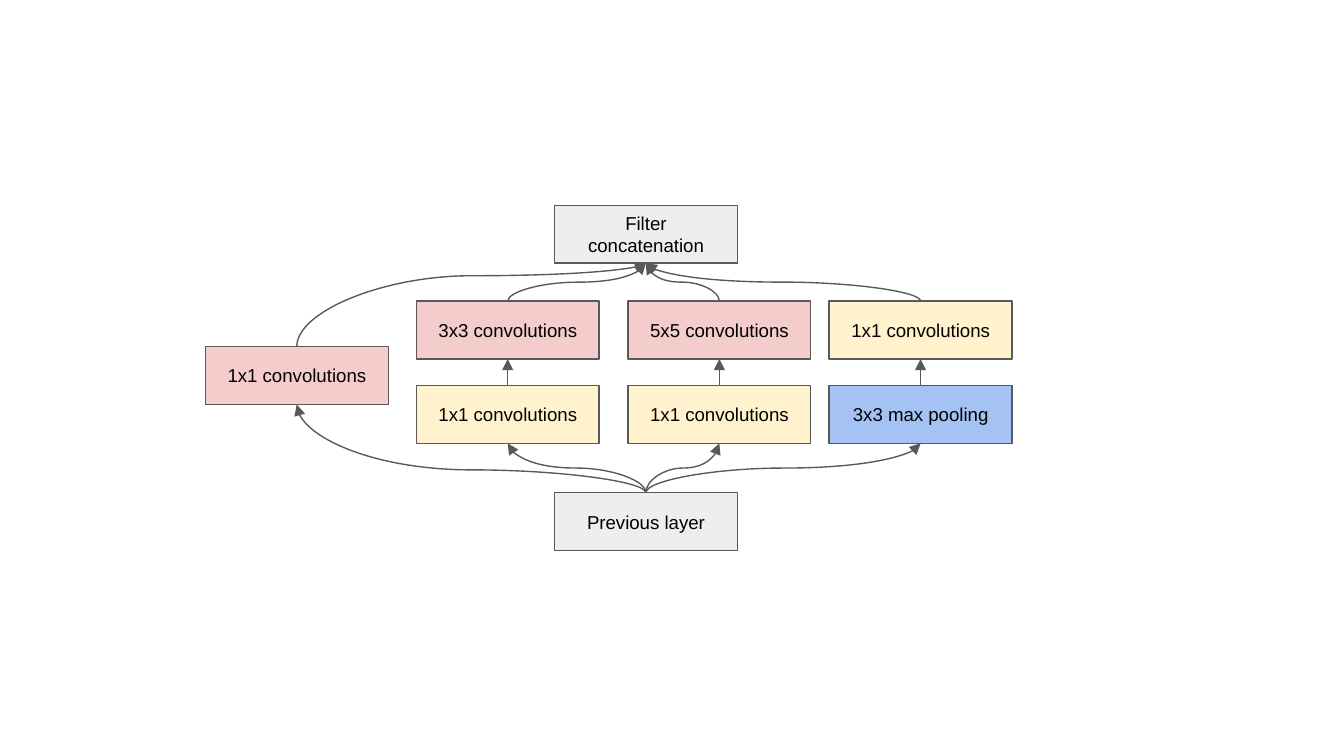
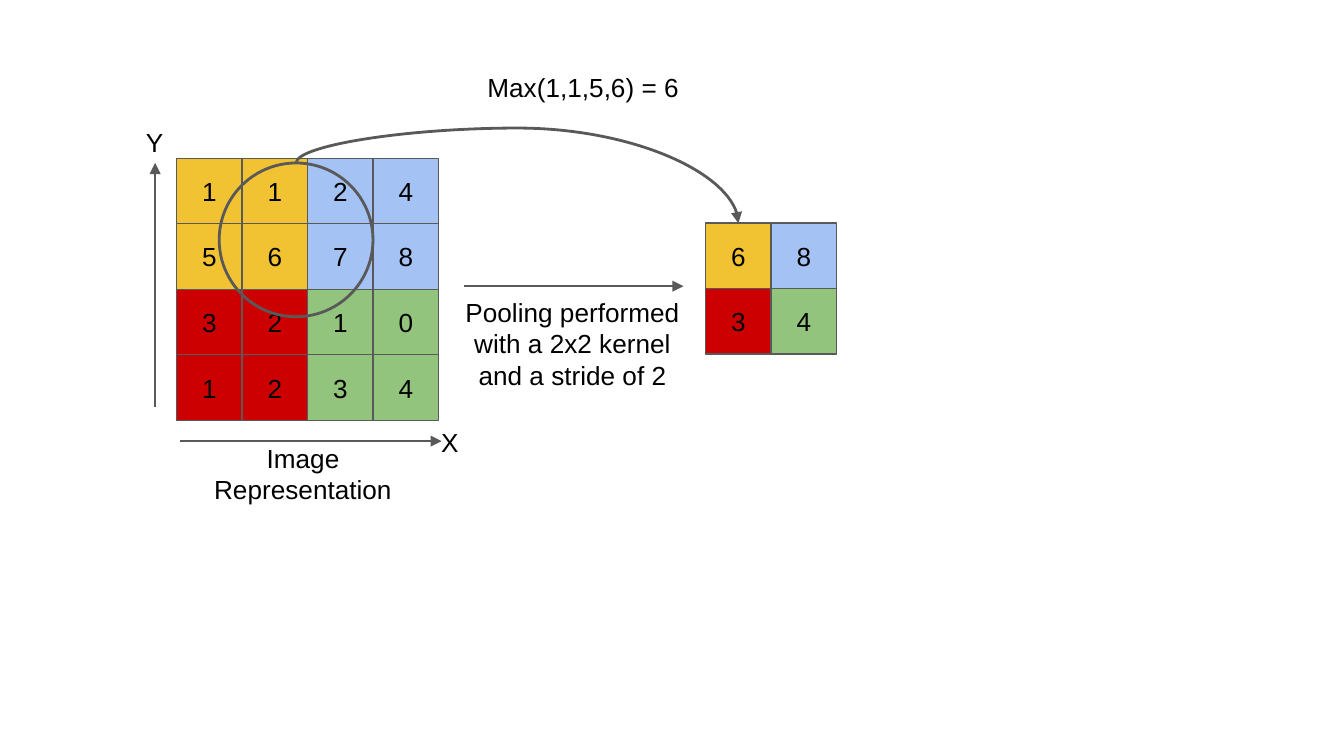
from lxml import etree
from pptx import Presentation
from pptx.dml.color import RGBColor
from pptx.enum import shapes, text
from pptx.oxml import ns
from pptx.util import Pt

FONT = "Arial"
BLACK = RGBColor(0x00, 0x00, 0x00)
OUTLINE = RGBColor(0x59, 0x59, 0x59)
GREY = RGBColor(0xEE, 0xEE, 0xEE)
PINK = RGBColor(0xF4, 0xCC, 0xCC)
CREAM = RGBColor(0xFF, 0xF2, 0xCC)
BLUE = RGBColor(0xA4, 0xC2, 0xF4)
GOLD = RGBColor(0xF1, 0xC2, 0x32)
RED = RGBColor(0xCC, 0x00, 0x00)
GREEN = RGBColor(0x93, 0xC4, 0x7D)

THIN, THICK = 0.75, 1.5
INSET = 7.2
LAYER_WIDTH, LAYER_HEIGHT = 98, 31
CELL = 35.1
QUADRANTS = ((GOLD, BLUE), (RED, GREEN))


def write_text(shape, content, size=14, align=text.PP_ALIGN.CENTER,
               anchor=text.MSO_ANCHOR.MIDDLE):
    frame = shape.text_frame
    frame.word_wrap = True
    frame.vertical_anchor = anchor
    frame.margin_left = frame.margin_right = Pt(INSET)
    frame.margin_top = frame.margin_bottom = Pt(INSET)
    paragraph = frame.paragraphs[0]
    paragraph.alignment = align
    run = paragraph.add_run()
    run.text = content
    run.font.name = FONT
    run.font.size = Pt(size)
    run.font.color.rgb = BLACK


def add_label(slide, content, left, top, width, height, **format):
    label = slide.shapes.add_textbox(Pt(left), Pt(top), Pt(width), Pt(height))
    write_text(label, content, **format)


def add_outlined(slide, kind, left, top, width, height, fill=None, weight=THIN):
    shape = slide.shapes.add_shape(kind, Pt(left), Pt(top), Pt(width), Pt(height))
    shape.shadow.inherit = False
    if fill is None:
        shape.fill.background()
    else:
        shape.fill.solid()
        shape.fill.fore_color.rgb = fill
    shape.line.color.rgb = OUTLINE
    shape.line.width = Pt(weight)
    return shape


def add_box(slide, content, left, top, width, height, fill, **format):
    box = add_outlined(slide, shapes.MSO_SHAPE.RECTANGLE, left, top, width, height, fill)
    write_text(box, content, **format)


def add_arrow(slide, start, end, weight=THIN, kind=shapes.MSO_CONNECTOR.STRAIGHT):
    arrow = slide.shapes.add_connector(kind, *(Pt(value) for value in (*start, *end)))
    arrow.line.color.rgb = OUTLINE
    arrow.line.width = Pt(weight)
    line = arrow.line._get_or_add_ln()
    etree.SubElement(line, ns.qn("a:tailEnd"), type="triangle")
    etree.SubElement(arrow._element.spPr, ns.qn("a:effectLst"))
    return arrow


def add_vertical_curve(slide, start, end, bend=0.5, weight=THIN):
    (start_x, start_y), (end_x, end_y) = start, end
    center_x, center_y = (start_x + end_x) / 2, (start_y + end_y) / 2
    half_width, half_height = abs(end_y - start_y) / 2, abs(end_x - start_x) / 2
    leftward, upward = end_x < start_x, end_y < start_y
    if leftward == upward:
        half_width = -half_width
    curve = add_arrow(slide, (center_x - half_width, center_y - half_height),
                      (center_x + half_width, center_y + half_height),
                      weight, shapes.MSO_CONNECTOR.CURVE)
    properties = curve._element.spPr
    degrees = 90 if leftward else 270
    properties.find(ns.qn("a:xfrm")).set("rot", str(degrees * 60000))
    geometry = properties.find(ns.qn("a:prstGeom"))
    adjustments = geometry.find(ns.qn("a:avLst"))
    if adjustments is None:
        adjustments = etree.SubElement(geometry, ns.qn("a:avLst"))
    etree.SubElement(adjustments, ns.qn("a:gd"), name="adj1",
                     fmla=f"val {round(bend * 100000)}")


def add_inception_module(slide, left, top):
    middle = 187
    upper, single, lower, previous = 51.3, 75.7, 96.5, 154
    layers = [
        ("Previous layer", middle, previous, GREY),
        ("1x1 convolutions", 0, single, PINK),
    ]
    branches = [
        (113, "1x1 convolutions", CREAM, "3x3 convolutions", PINK),
        (226.4, "1x1 convolutions", CREAM, "5x5 convolutions", PINK),
        (334.2, "3x3 max pooling", BLUE, "1x1 convolutions", CREAM),
    ]
    for x, first, first_fill, second, second_fill in branches:
        layers += [(first, x, lower, first_fill), (second, x, upper, second_fill)]
    layers.append(("Filter concatenation", middle, 0, GREY))
    for content, x, y, fill in layers:
        add_box(slide, content, left + x, top + y, LAYER_WIDTH, LAYER_HEIGHT, fill, size=10)

    def top_of(x, y):
        return left + x + LAYER_WIDTH / 2, top + y

    def bottom_of(x, y):
        return left + x + LAYER_WIDTH / 2, top + y + LAYER_HEIGHT

    source, target = top_of(middle, previous), bottom_of(middle, 0)
    add_vertical_curve(slide, source, bottom_of(0, single), bend=0.26)
    add_vertical_curve(slide, top_of(0, single), target, bend=0.85)
    for x, *_ in branches:
        add_vertical_curve(slide, source, bottom_of(x, lower))
        add_vertical_curve(slide, top_of(x, lower), bottom_of(x, upper))
        add_vertical_curve(slide, top_of(x, upper), target)


def add_grid(slide, left, top, rows):
    half = len(rows) // 2
    for row, values in enumerate(rows):
        for column, value in enumerate(values):
            add_box(slide, str(value), left + column * CELL, top + row * CELL,
                    CELL, CELL, QUADRANTS[row // half][column // half])


def add_image_grid(slide, left, top):
    add_grid(slide, left, top, ((1, 1, 2, 4), (5, 6, 7, 8), (3, 2, 1, 0), (1, 2, 3, 4)))
    add_arrow(slide, (left + 2, top + 151.5), (left + 142, top + 151.5), THICK)
    add_arrow(slide, (left - 11.5, top + 133.5), (left - 11.5, top + 2.5), THICK)
    add_outlined(slide, shapes.MSO_SHAPE.OVAL, left + 22.8, top + 2.5, 82.4, 82.4,
                 weight=THICK)
    corner = dict(align=text.PP_ALIGN.LEFT, anchor=text.MSO_ANCHOR.TOP)
    add_label(slide, "Image Representation", left, top + 145, 135.4, 54.7,
              anchor=text.MSO_ANCHOR.TOP)
    add_label(slide, "Y", left - 23.5, top - 24.5, 35.3, 54.7, **corner)
    add_label(slide, "X", left + 134.6, top + 136.2, 35.3, 54.7, **corner)


def add_pooling_step(slide, left, top):
    add_label(slide, "Max(1,1,5,6) = 6", left + 20, top - 118, 135.4, 54.7,
              align=text.PP_ALIGN.LEFT, anchor=text.MSO_ANCHOR.TOP)
    add_arrow(slide, (left + 14.5, top + 4.3), (left + 132.2, top + 4.3))
    add_label(slide, "Pooling performed with a 2x2 kernel and a stride of 2",
              left, top, 145.4, 69.8)


def add_pooling_example(slide, left, top):
    result_left, result_top = left + 283.4, top + 34.8
    add_image_grid(slide, left, top)
    add_grid(slide, result_left, result_top, ((6, 8), (3, 4)))
    add_vertical_curve(slide, (left + 64, top + 2.5),
                       (result_left + CELL / 2, result_top), bend=-0.58, weight=THICK)
    add_pooling_step(slide, left + 139.4, top + 64.2)


def main():
    presentation = Presentation()
    presentation.slide_width, presentation.slide_height = Pt(720), Pt(405)
    blank = presentation.slide_layouts[6]
    add_inception_module(presentation.slides.add_slide(blank), 110, 110)
    add_pooling_example(presentation.slides.add_slide(blank), 94.6, 84.8)
    presentation.save("out.pptx")


if __name__ == "__main__":
    main()
